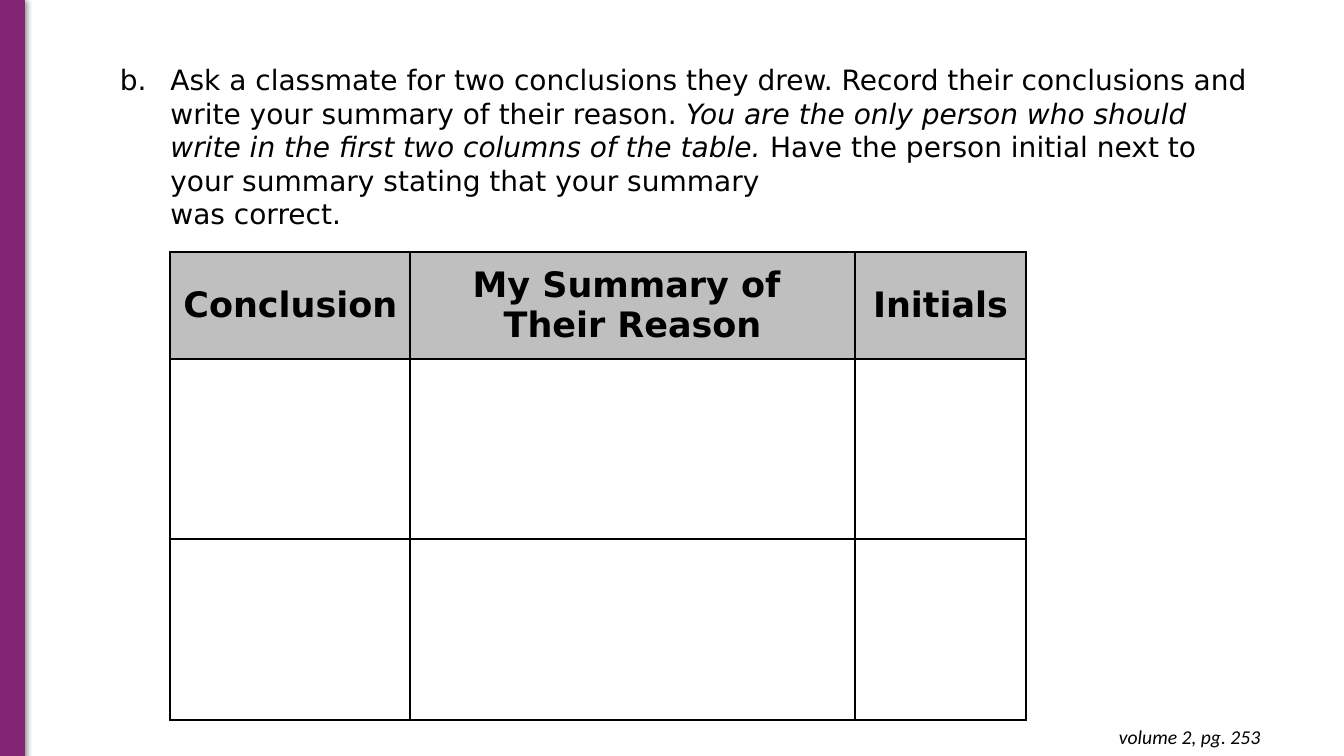
from lxml import etree
from pptx import Presentation
from pptx.dml.color import RGBColor
from pptx.enum.shapes import MSO_SHAPE
from pptx.enum.text import MSO_ANCHOR, MSO_AUTO_SIZE, PP_ALIGN
from pptx.oxml import parse_xml
from pptx.oxml.ns import nsdecls, qn
from pptx.util import Pt

RECTANGLE = MSO_SHAPE.RECTANGLE
TOP, MIDDLE = MSO_ANCHOR.TOP, MSO_ANCHOR.MIDDLE
GROW = MSO_AUTO_SIZE.SHAPE_TO_FIT_TEXT
LEFT, CENTER, RIGHT = PP_ALIGN.LEFT, PP_ALIGN.CENTER, PP_ALIGN.RIGHT

PURPLE, GRAY, BLACK = "822574", "BFBFBF", "000000"
TASK_FONT = {"name": "DejaVu Sans", "size": Pt(20)}
HEADING_FONT = {"name": "DejaVu Sans", "size": Pt(25), "bold": True}
PAGE_FONT = {"name": "Calibri", "size": Pt(14), "italic": True}

TASK_RUNS = [
    ("Ask a classmate for two conclusions they drew. Record their conclusions and "
     "write your summary of their reason. ", False),
    ("You are the only person who should write in the first two columns of the table.", True),
    (" Have the person initial next to your summary stating that your summary \n"
     "was correct.", False),
]
HEADINGS = ["Conclusion", "My Summary of \nTheir Reason", "Initials"]
COLUMN_WIDTHS = [171.4, 317.5, 122.4]
ROW_HEIGHTS = [76.3, 128.9, 128.9]


def paint(color_format, color):
    color_format.rgb = RGBColor.from_string(color)


def apply_values(target, values):
    for attribute, value in values.items():
        setattr(target, attribute, value)


def equal_margins(inset):
    return {f"margin_{side}": Pt(inset) for side in ("left", "top", "right", "bottom")}


def write_run(paragraph, wording, font_values):
    for index, line in enumerate(wording.split("\n")):
        if index:
            paragraph.add_line_break()
        run = paragraph.add_run()
        run.text = line
        apply_values(run.font, font_values)
        paint(run.font.color, BLACK)


def add_side_band(slide, left, top, width, height):
    band = slide.shapes.add_shape(RECTANGLE, Pt(left), Pt(top), Pt(width), Pt(height))
    band.fill.solid()
    paint(band.fill.fore_color, PURPLE)
    paint(band.line.color, PURPLE)
    band.line.width = Pt(0.75)
    band.shadow.inherit = False
    effects = band.element.spPr.find(qn("a:effectLst"))
    effects.append(parse_xml(
        f'<a:outerShdw {nsdecls("a")} blurRad="{Pt(4.5)}" dist="{Pt(1.5)}" dir="5400000" '
        f'rotWithShape="0"><a:srgbClr val="{BLACK}"><a:alpha val="50000"/></a:srgbClr>'
        "</a:outerShdw>"))


def fill_task(task, left, top, width, height):
    apply_values(task, {"left": Pt(left), "top": Pt(top),
                        "width": Pt(width), "height": Pt(height)})
    apply_values(task.text_frame, {"word_wrap": True, "auto_size": GROW,
                                   "vertical_anchor": TOP})
    paragraph = task.text_frame.paragraphs[0]
    properties = paragraph._p.get_or_add_pPr()
    properties.set("marL", str(Pt(72)))
    properties.set("indent", str(Pt(-36)))
    bullet_color = etree.SubElement(properties, qn("a:buClr"))
    etree.SubElement(bullet_color, qn("a:srgbClr"), val=BLACK)
    etree.SubElement(properties, qn("a:buFont"), typeface=TASK_FONT["name"])
    etree.SubElement(properties, qn("a:buAutoNum"), type="alphaLcPeriod", startAt="2")
    apply_values(paragraph, {"alignment": LEFT, "space_before": Pt(0), "space_after": Pt(10)})
    for wording, italic in TASK_RUNS:
        write_run(paragraph, wording, {**TASK_FONT, "italic": italic})


def add_borders(cell):
    properties = cell._tc.get_or_add_tcPr()
    for side in ("lnL", "lnR", "lnT", "lnB"):
        border = etree.SubElement(properties, qn(f"a:{side}"), w=str(Pt(1.5)))
        fill = etree.SubElement(border, qn("a:solidFill"))
        etree.SubElement(fill, qn("a:srgbClr"), val=BLACK)


def add_record_table(slide, left, top):
    frame = slide.shapes.add_table(
        len(ROW_HEIGHTS), len(COLUMN_WIDTHS), Pt(left), Pt(top),
        Pt(sum(COLUMN_WIDTHS)), Pt(sum(ROW_HEIGHTS)))
    table = frame.table
    apply_values(table, {"first_row": False, "horz_banding": False})
    for column, width in zip(table.columns, COLUMN_WIDTHS):
        column.width = Pt(width)
    for row, height in zip(table.rows, ROW_HEIGHTS):
        row.height = Pt(height)
    for cell in table.iter_cells():
        add_borders(cell)
        cell.fill.background()
    for cell, heading in zip(table.rows[0].cells, HEADINGS):
        cell.fill.solid()
        paint(cell.fill.fore_color, GRAY)
        apply_values(cell, {"vertical_anchor": MIDDLE, **equal_margins(7.92)})
        paragraph = cell.text_frame.paragraphs[0]
        paragraph.alignment = CENTER
        write_run(paragraph, heading, HEADING_FONT)


def add_page_reference(slide, left, top, width, height):
    reference = slide.shapes.add_textbox(Pt(left), Pt(top), Pt(width), Pt(height))
    apply_values(reference.text_frame, {"word_wrap": True, "auto_size": GROW,
                                        **equal_margins(7.2)})
    paragraph = reference.text_frame.paragraphs[0]
    paragraph.alignment = RIGHT
    write_run(paragraph, "volume 2, pg. 253", PAGE_FONT)


def build_task_slide(presentation, width, height):
    slide = presentation.slides.add_slide(presentation.slide_layouts[1])
    title, task = slide.placeholders
    title.element.getparent().remove(title.element)
    add_side_band(slide, 0, -0.5, 17.4, height + 1)
    fill_task(task, 42.5, 41, width - 95, 128)
    add_record_table(slide, 121.7, 180)
    add_page_reference(slide, width - 260, height - 29.5, 207.5, 31.7)


def main():
    presentation = Presentation()
    width, height = 960, 540
    apply_values(presentation, {"slide_width": Pt(width), "slide_height": Pt(height)})
    build_task_slide(presentation, width, height)
    presentation.save("out.pptx")


if __name__ == "__main__":
    main()
